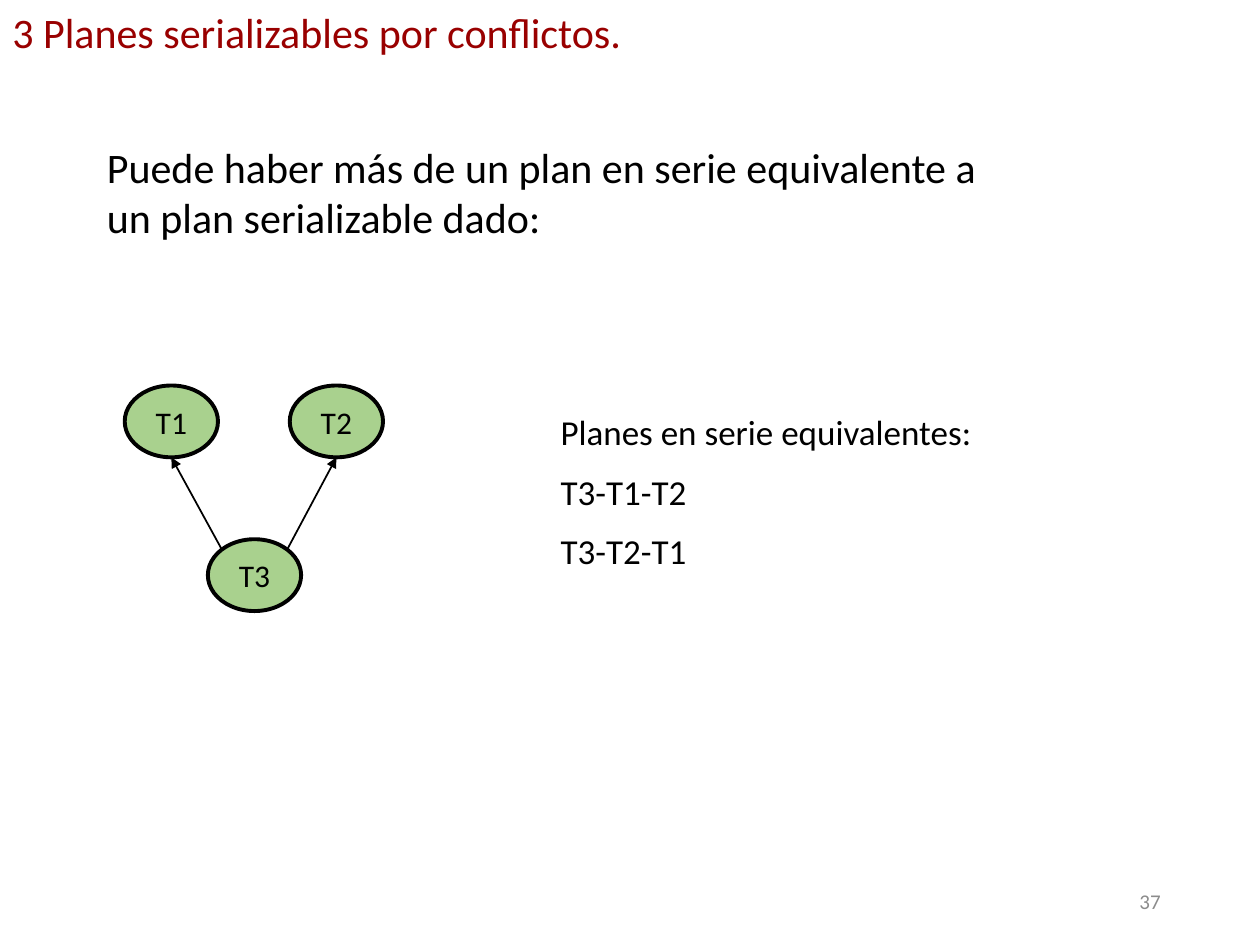
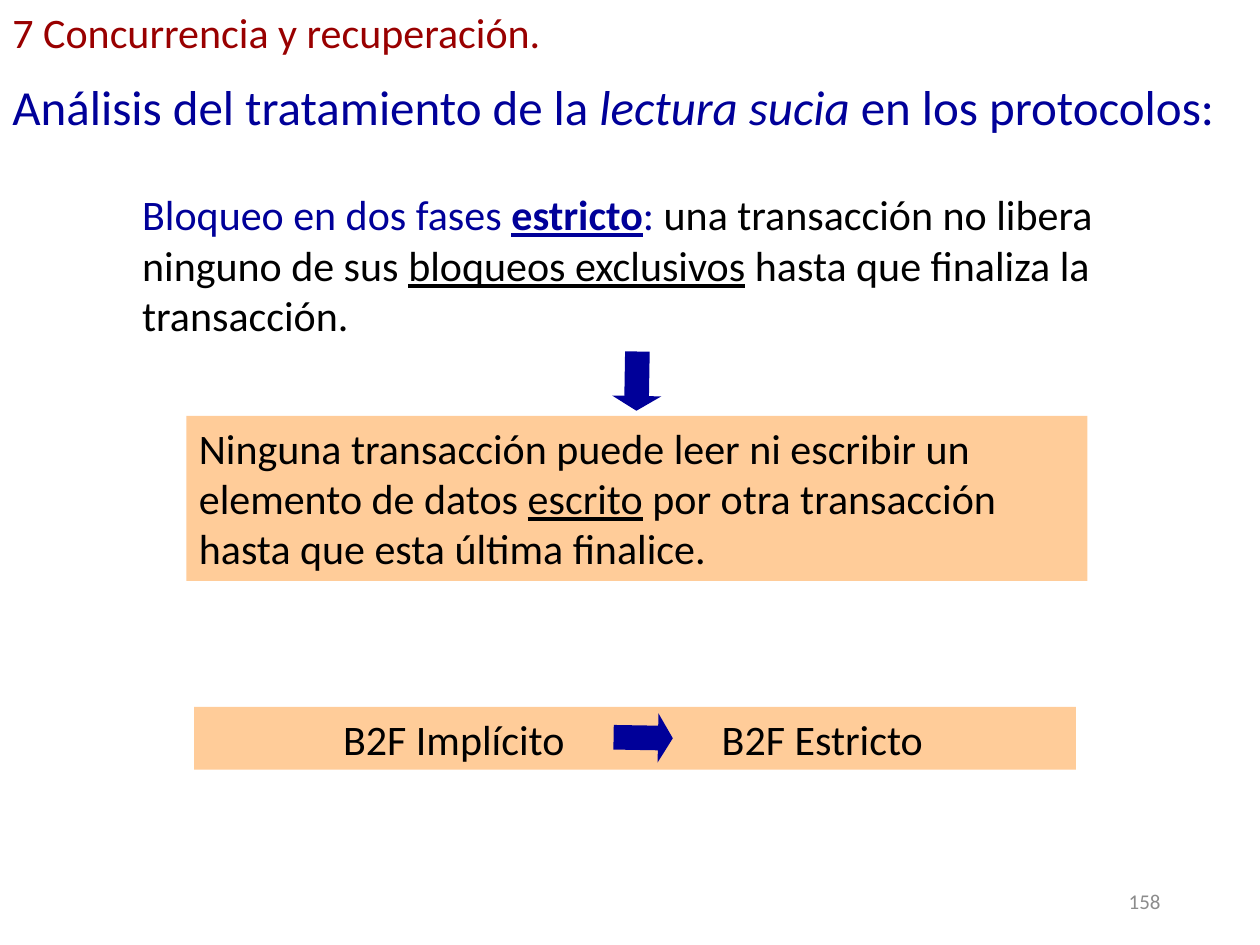
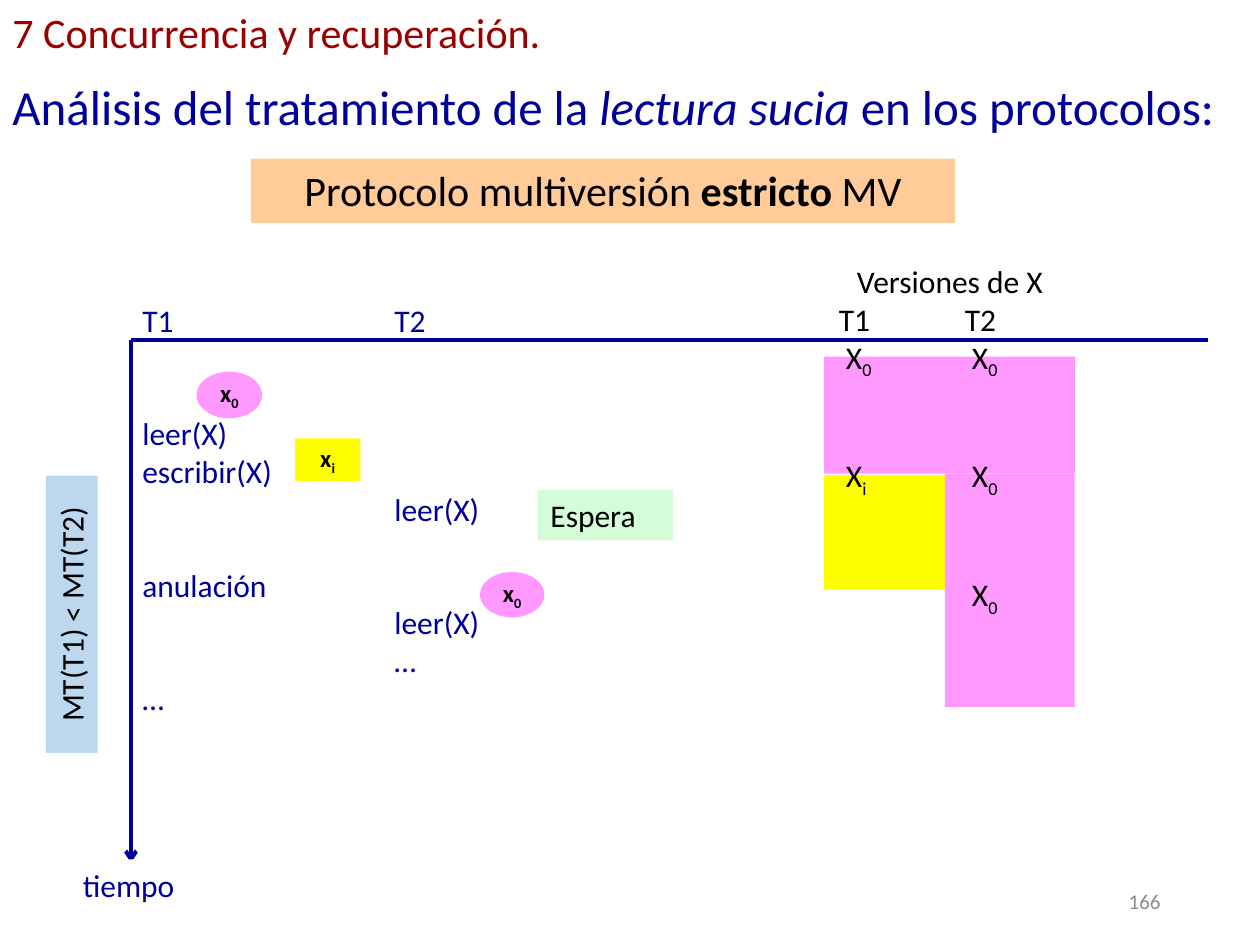
import dataclasses

import pptx
import pptx.dml.color
import pptx.enum.shapes
import pptx.enum.text
import pptx.oxml.ns
import pptx.util
from lxml import etree

SHAPE = pptx.enum.shapes.MSO_SHAPE
ALIGN = pptx.enum.text.PP_ALIGN
ANCHOR = pptx.enum.text.MSO_ANCHOR
qn = pptx.oxml.ns.qn

WIDTH, HEIGHT = pptx.util.Inches(10), pptx.util.Inches(7.5)
COLUMNS, ROWS = 100, 75


@dataclasses.dataclass(frozen=True)
class Theme:
    font: str = "Calibri"
    black: str = "000000"
    white: str = "FFFFFF"
    red: str = "990000"
    blue: str = "000099"
    grey: str = "8C8C8C"
    green: str = "A9D18E"
    mint: str = "D4FCD8"
    orange: str = "FFCC99"
    pink: str = "FF99FF"
    yellow: str = "FFFF00"
    sky: str = "BDD7EE"
    heading: int = 28
    body: int = 24
    list: int = 20
    label: int = 18
    mark: int = 14
    footer: int = 12
    line: float = 21.6


THEME = Theme()


@dataclasses.dataclass(frozen=True)
class Run:
    text: str
    style: str = ""
    color: str = ""


@dataclasses.dataclass(frozen=True)
class Para:
    runs: tuple
    gap: float = 0


def rgb(color):
    return pptx.dml.color.RGBColor.from_string(color)


def place(col, row, cols=0, rows=0):
    x, y = WIDTH / COLUMNS, HEIGHT / ROWS
    return [round(v) for v in (col * x, row * y, cols * x, rows * y)]


def subscript(base, index):
    return Run(base), Run(index, "s")


def add_tab(p, inches):
    tabs = etree.SubElement(p._p.get_or_add_pPr(), qn("a:tabLst"))
    etree.SubElement(tabs, qn("a:tab"), pos=str(pptx.util.Inches(inches)), algn="l")


def write(sp, paras, size, color=THEME.black, align=ALIGN.LEFT,
          anchor=ANCHOR.TOP, wrap=True, bold=None, tab=None):
    tf = sp.text_frame
    tf.word_wrap = wrap
    tf.vertical_anchor = anchor
    if isinstance(paras, str):
        paras = [Para((Run(paras),))]
    for i, para in enumerate(paras):
        p = tf.paragraphs[0] if i == 0 else tf.add_paragraph()
        if tab:
            add_tab(p, tab)
        p.alignment = align
        if para.gap:
            p.space_before = pptx.util.Pt(para.gap)
        p.font.name = THEME.font
        p.font.size = pptx.util.Pt(size)
        p.font.bold = bold
        p.font.color.rgb = rgb(color)
        for run in para.runs:
            r = p.add_run()
            r.text = run.text
            if "b" in run.style:
                r.font.bold = True
            if "i" in run.style:
                r.font.italic = True
            if "u" in run.style:
                r.font.underline = True
            if "s" in run.style:
                r._r.get_or_add_rPr().set("baseline", "-25000")
            if run.color:
                r.font.color.rgb = rgb(run.color)


def add_text(slide, box, paras, size, **style):
    sp = slide.shapes.add_textbox(*place(*box))
    write(sp, paras, size, **style)
    return sp


def add_block(slide, box, fill, kind=SHAPE.RECTANGLE, outline=None, rotation=0):
    sp = slide.shapes.add_shape(kind, *place(*box))
    sp.shadow.inherit = False
    sp.rotation = rotation
    sp.fill.solid()
    sp.fill.fore_color.rgb = rgb(fill)
    if outline:
        sp.line.color.rgb = rgb(outline)
        sp.line.width = pptx.util.Pt(2.25)
    else:
        sp.line.fill.background()
    return sp


def add_panel(slide, box, fill, paras, size, rotation=0, **style):
    write(add_block(slide, box, fill, rotation=rotation), paras, size, **style)


def add_line(slide, start, end, color, width, head=None):
    x1, y1 = place(*start)[:2]
    x2, y2 = place(*end)[:2]
    line = slide.shapes.add_connector(
        pptx.enum.shapes.MSO_CONNECTOR.STRAIGHT, x1, y1, x2, y2)
    line.line.color.rgb = rgb(color)
    line.line.width = pptx.util.Pt(width)
    if head:
        etree.SubElement(line.line._get_or_add_ln(), qn("a:tailEnd"), type=head)
    etree.SubElement(line._element.spPr, qn("a:effectLst"))


def add_node(slide, col, row, name):
    sp = add_block(slide, (col, row, 7.4, 5.7), THEME.green, SHAPE.OVAL, THEME.black)
    write(sp, name, THEME.label, align=ALIGN.CENTER, anchor=ANCHOR.MIDDLE, wrap=False)


def add_mark(slide, box, fill, kind, index):
    sp = add_block(slide, box, fill, kind)
    write(sp, [Para(subscript("x", index))], THEME.mark, bold=True,
          align=ALIGN.CENTER, anchor=ANCHOR.MIDDLE, wrap=False)


def add_block_arrow(slide, col, row, rotation):
    sp = add_block(slide, (col, row, 3.9, 4.7), THEME.blue, SHAPE.DOWN_ARROW,
                   rotation=rotation)
    sp.adjustments[0] = 0.5
    sp.adjustments[1] = 0.3


def add_slide(prs, title, number):
    slide = prs.slides.add_slide(prs.slide_layouts[6])
    add_text(slide, (0, 0, 50.8, 5), title, THEME.body, color=THEME.red, wrap=False)
    add_text(slide, (70.6, 69.5, 22.5, 4), number, THEME.footer, color=THEME.grey,
             align=ALIGN.RIGHT, anchor=ANCHOR.MIDDLE)
    return slide


def add_recovery_slide(prs, number):
    slide = add_slide(prs, "7 Concurrencia y recuperación.", number)
    heading = (Run("Análisis del tratamiento de la "), Run("lectura sucia ", "i"),
               Run("en los protocolos:"))
    add_text(slide, (0, 5.6, 98.5, 5.7), [Para(heading)], THEME.heading,
             color=THEME.blue)
    return slide


def build_serial_plans(prs):
    slide = add_slide(prs, "3 Planes serializables por conflictos.", "37")
    add_text(slide, (7.5, 10.7, 73.6, 9.1),
             "Puede haber más de un plan en serie equivalente a un plan "
             "serializable dado:", THEME.body)
    plans = [Para((Run(text),), gap) for text, gap in (
        ("Planes en serie equivalentes:", 0), ("T3-T1-T2", 10), ("T3-T2-T1", 10))]
    add_text(slide, (43.5, 32.1, 39.8, 14.5), plans, THEME.list)
    for col, row, name in ((9.9, 30.6, "T1"), (23, 30.6, "T2"), (16.5, 42.8, "T3")):
        add_node(slide, col, row, name)
    for start, end in ((17.6, 13.6), (22.8, 26.7)):
        add_line(slide, (start, 43.6), (end, 36.3), THEME.black, 1, "triangle")


def build_strict_locking(prs):
    slide = add_recovery_slide(prs, "158")
    definition = (
        Run("Bloqueo en dos fases ", color=THEME.blue),
        Run("estricto", "bu", THEME.blue),
        Run(": ", color=THEME.blue),
        Run("una transacción no libera ninguno de sus "),
        Run("bloqueos exclusivos", "u"),
        Run(" hasta que finaliza la transacción."))
    add_text(slide, (10.3, 14.5, 80.6, 13.1), [Para(definition)], THEME.body)
    consequence = (
        Run("Ninguna transacción puede leer ni escribir un elemento de datos "),
        Run("escrito", "u"),
        Run(" por otra transacción hasta que esta última finalice."))
    add_panel(slide, (14.8, 33, 71.5, 13.1), THEME.orange, [Para(consequence)],
              THEME.body)
    add_block_arrow(slide, 48.6, 27.9, 1)
    add_block(slide, (15.4, 56.1, 70, 5), THEME.orange)
    add_text(slide, (14.8, 56.1, 31, 5), "B2F Implícito", THEME.body,
             align=ALIGN.RIGHT)
    add_text(slide, (56.3, 56.1, 27.7, 5), "B2F Estricto", THEME.body)
    add_block_arrow(slide, 49.1, 56.2, 271)


def build_multiversion(prs):
    slide = add_recovery_slide(prs, "166")
    add_block(slide, (65.4, 28.3, 19.9, 9.3), THEME.pink)
    line = THEME.line
    schedule = [Para((Run(text),), gap * line) for text, gap in (
        ("T1\tT2", 0), ("leer(X)", 2), ("escribir(X)", 0), ("\tleer(X)", 0),
        ("anulación", 1), ("\tleer(X)", 0), ("\t…", 0), ("…", 0))]
    sp = add_text(slide, (11.3, 23.4, 38.3, 34.8), schedule, THEME.label,
                  color=THEME.blue, tab=2)
    sp.text_frame.margin_left = sp.text_frame.margin_right = 0
    add_mark(slide, (15.6, 29.5, 5.2, 3.7), THEME.pink, SHAPE.OVAL, "0")
    protocol = (Run("Protocolo multiversión "), Run("estricto ", "b"), Run("MV"))
    add_panel(slide, (19.9, 12.6, 55.9, 5.1), THEME.orange, [Para(protocol)],
              THEME.body, align=ALIGN.CENTER)
    add_block(slide, (65.4, 37.7, 9.6, 9.1), THEME.yellow)
    add_block(slide, (75, 37.6, 10.3, 18.5), THEME.pink)
    add_mark(slide, (38.1, 45.4, 5.1, 3.6), THEME.pink, SHAPE.OVAL, "0")
    origin = (10.4, 27)
    add_line(slide, origin, (10.4, 68.5), THEME.blue, 2.25, "arrow")
    add_line(slide, origin, (95.9, 27), THEME.blue, 2.25)
    add_panel(slide, (-5.3, 46.7, 22, 4.1), THEME.sky, "MT(T1) < MT(T2)",
              THEME.label, rotation=270, align=ALIGN.CENTER)
    add_panel(slide, (5.6, 68.2, 9.7, 4.1), THEME.white, "tiempo", THEME.label,
              color=THEME.blue)
    add_mark(slide, (23.4, 34.8, 5.2, 3.4), THEME.yellow, SHAPE.RECTANGLE, "i")
    add_panel(slide, (42.7, 38.9, 10.7, 4), THEME.mint, "Espera", THEME.label)
    second = subscript("\t X", "0")
    versions = [
        Para((Run("Versiones de X"),)),
        Para((Run("T1\tT2"),)),
        Para(subscript(" X", "0") + second),
        Para(subscript(" X", "i") + second, 2 * line),
        Para(second, 2 * line)]
    sp = add_text(slide, (65.6, 20.3, 19.6, 37.4), versions, THEME.label, tab=1)
    sp.text_frame.paragraphs[0].alignment = ALIGN.CENTER


def main():
    prs = pptx.Presentation()
    prs.slide_width, prs.slide_height = WIDTH, HEIGHT
    build_serial_plans(prs)
    build_strict_locking(prs)
    build_multiversion(prs)
    prs.save("out.pptx")


if __name__ == "__main__":
    main()
